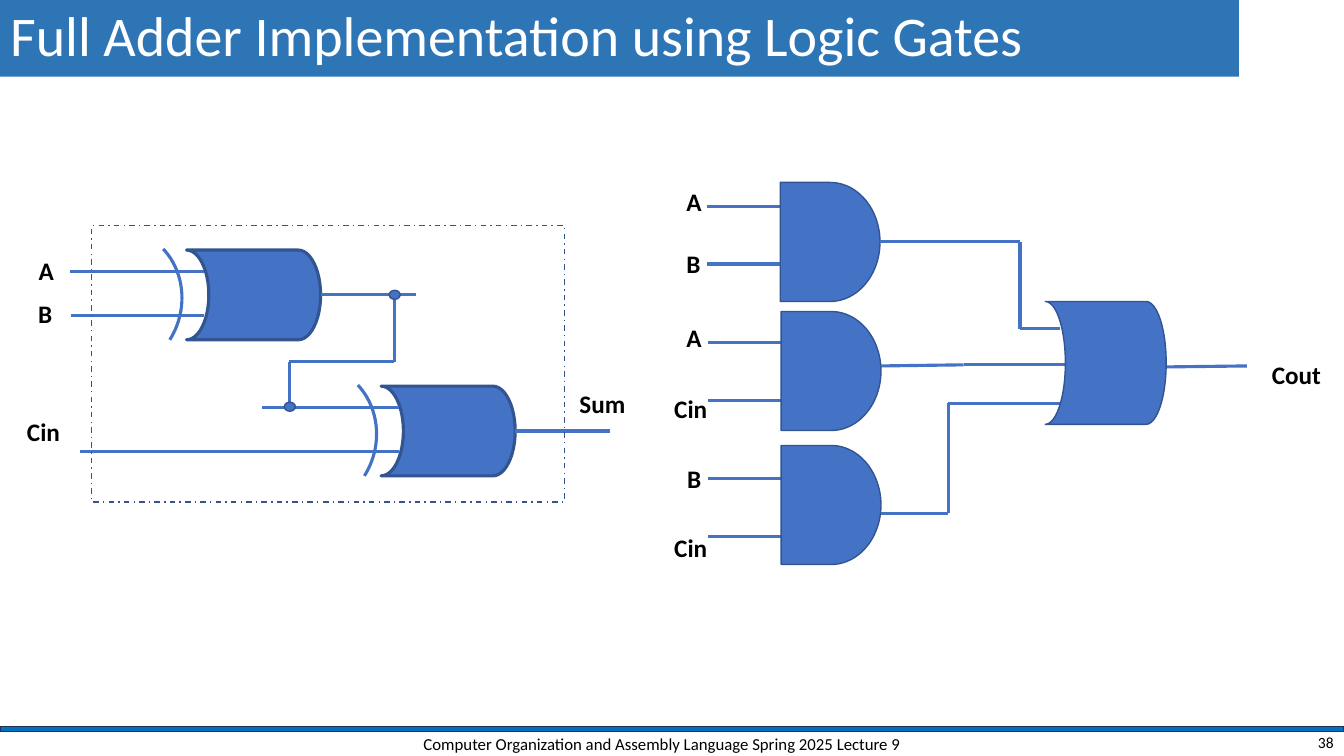
from itertools import pairwise

from pptx import Presentation
from pptx.dml.color import RGBColor
from pptx.enum.dml import MSO_LINE
from pptx.enum.shapes import MSO_CONNECTOR, MSO_SHAPE
from pptx.enum.text import MSO_ANCHOR, MSO_AUTO_SIZE, PP_ALIGN
from pptx.oxml.ns import qn
from pptx.util import Pt
from lxml.etree import SubElement

WHITE = RGBColor(0xFF, 0xFF, 0xFF)
BLACK = RGBColor(0x00, 0x00, 0x00)
TITLE_BLUE = RGBColor(0x2E, 0x75, 0xB6)
BAR_BLUE = RGBColor(0x00, 0x70, 0xC0)
BAR_EDGE = RGBColor(0x1E, 0x32, 0x56)
GATE_BLUE = RGBColor(0x44, 0x72, 0xC4)
GATE_EDGE = RGBColor(0x32, 0x54, 0x91)

FONT = "Calibri"
XOR_SIZE = (95.8, 64.1)
AND_SIZE = (71.3, 85)
DOT_SIZE = (7.9, 6.5)


def write(frame, text, size=18, color=BLACK, bold=False, align=PP_ALIGN.LEFT,
          anchor=MSO_ANCHOR.TOP, spacing=None):
    frame.word_wrap = True
    frame.auto_size = MSO_AUTO_SIZE.NONE
    frame.vertical_anchor = anchor
    para = frame.paragraphs[0]
    para.alignment = align
    para.line_spacing = spacing
    span = para.add_run()
    span.text = text
    span.font.name = FONT
    span.font.size = Pt(size)
    span.font.bold = bold
    span.font.color.rgb = color


def add_text(page, text, left, top, width, height, **style):
    box = page.shapes.add_textbox(Pt(left), Pt(top), Pt(width), Pt(height))
    write(box.text_frame, text, **style)


def add_label(page, text, left, top):
    add_text(page, text, left, top, 60, 28.8, bold=True)


def add_figure(page, kind, left, top, size, fill=GATE_BLUE, edge=GATE_EDGE,
               weight=1, rotation=0):
    figure = page.shapes.add_shape(kind, Pt(left), Pt(top), Pt(size[0]), Pt(size[1]))
    figure.shadow.inherit = False
    figure.rotation = rotation
    if fill is None:
        figure.fill.background()
    else:
        figure.fill.solid()
        figure.fill.fore_color.rgb = fill
    figure.line.color.rgb = edge
    figure.line.width = Pt(weight)
    return figure


def add_wire(page, *corners):
    """Draw straight wires through the corners and return them in order."""
    wires = []
    for (x1, y1), (x2, y2) in pairwise(corners):
        wire = page.shapes.add_connector(
            MSO_CONNECTOR.STRAIGHT, Pt(x1), Pt(y1), Pt(x2), Pt(y2))
        wire.line.color.rgb = GATE_BLUE
        wire.line.width = Pt(2.25)
        SubElement(wire._element.spPr, qn("a:effectLst"))
        wires.append(wire)
    return wires


def add_xor_gate(page, left, top, input_starts):
    add_figure(page, MSO_SHAPE.FLOWCHART_STORED_DATA, left, top, XOR_SIZE,
               weight=2.25, rotation=180)
    arc = add_figure(page, MSO_SHAPE.ARC, left - 98.6, top - 15.1, (95, 103.7),
                     fill=None, edge=GATE_BLUE, weight=2.25, rotation=17.2)
    arc.adjustments[0] = 177.238
    arc.adjustments[1] = 10.641
    for start, drop in zip(input_starts, (15.6, 46.8)):
        add_wire(page, (start, top + drop), (left + 12.5, top + drop))
    right, middle = left + XOR_SIZE[0], top + XOR_SIZE[1] / 2
    add_wire(page, (right, middle), (right + 67.9, middle))


def add_and_gate(page, left, top, first_input):
    for height in (first_input, first_input + 41):
        add_wire(page, (left - 52.6, height), (left, height))
    return add_figure(page, MSO_SHAPE.FLOWCHART_DELAY, left, top, AND_SIZE)


def add_sum_circuit(page):
    add_xor_gate(page, 133.2, 178.6, (49.7, 50.4))
    add_xor_gate(page, 272.2, 275.8, (187.2, 56.9))
    add_wire(page, (281.5, 211), (281.5, 258.5), (206.6, 258.5), (206.6, 291))
    for x, y in ((281.9, 210.6), (207, 290.5)):
        add_figure(page, MSO_SHAPE.OVAL, x - DOT_SIZE[0] / 2, y - DOT_SIZE[1] / 2,
                   DOT_SIZE)
    frame = add_figure(page, MSO_SHAPE.RECTANGLE, 65.5, 161.3, (337.7, 197.3), fill=None)
    frame.line.dash_style = MSO_LINE.DASH_DOT
    for text, left, top in (("A", 20.5, 178.6), ("B", 20.2, 209.5),
                            ("Cin", 12.2, 293.8), ("Sum", 406.8, 273.6)):
        add_label(page, text, left, top)


def add_carry_circuit(page):
    first_gate, *_ = [add_and_gate(page, *place) for place in (
        (557.3, 130.3, 147.6), (558, 222.5, 244.8), (558, 318.2, 342))]
    top_wire, *_ = add_wire(page, (628.6, 172.8), (728.6, 172.8),
                            (728.6, 234.7), (757.4, 234.7))
    top_wire.begin_connect(first_gate, 3)
    add_wire(page, (629.3, 261.4), (688.3, 260.6), (761.8, 260.6))
    add_wire(page, (629.3, 366.5), (677.5, 366.5), (677.5, 288), (757.4, 288))
    add_wire(page, (832.3, 262.1), (890.6, 261.4))
    add_figure(page, MSO_SHAPE.FLOWCHART_STORED_DATA, 746.6, 215.3, (86.4, 87.8),
               rotation=180)
    for text, left, top in (("A", 483.1, 129.6), ("B", 483.1, 174.2),
                            ("A", 483.1, 226.8), ("Cin", 474.5, 277.2),
                            ("B", 483.8, 327.6), ("Cin", 474.5, 376.6),
                            ("Cout", 901.4, 253)):
        add_label(page, text, left, top)


def add_title(page, text):
    title = page.shapes.title
    title.left, title.top, title.width, title.height = Pt(0), Pt(0), Pt(884.9), Pt(54.7)
    title.fill.solid()
    title.fill.fore_color.rgb = TITLE_BLUE
    write(title.text_frame, text, size=40, color=WHITE, anchor=MSO_ANCHOR.MIDDLE,
          spacing=0.9)


def add_footer(page, text, number):
    add_figure(page, MSO_SHAPE.RECTANGLE, 0, 519.1, (960, 3.6), fill=BAR_BLUE,
               edge=BAR_EDGE)
    add_text(page, text, 282.2, 521.3, 381.6, 20.2, size=12, align=PP_ALIGN.CENTER,
             anchor=MSO_ANCHOR.MIDDLE)
    add_text(page, number, 743.8, 521.3, 216, 18, size=11.1, align=PP_ALIGN.RIGHT,
             anchor=MSO_ANCHOR.MIDDLE)


def main():
    deck = Presentation()
    deck.slide_width, deck.slide_height = Pt(960), Pt(540)
    page = deck.slides.add_slide(deck.slide_layouts.get_by_name("Title Only"))
    add_title(page, "Full Adder Implementation using Logic Gates")
    add_sum_circuit(page)
    add_carry_circuit(page)
    add_footer(page, "Computer Organization and Assembly Language Spring 2025 Lecture 9", "38")
    deck.save("out.pptx")


if __name__ == "__main__":
    main()
